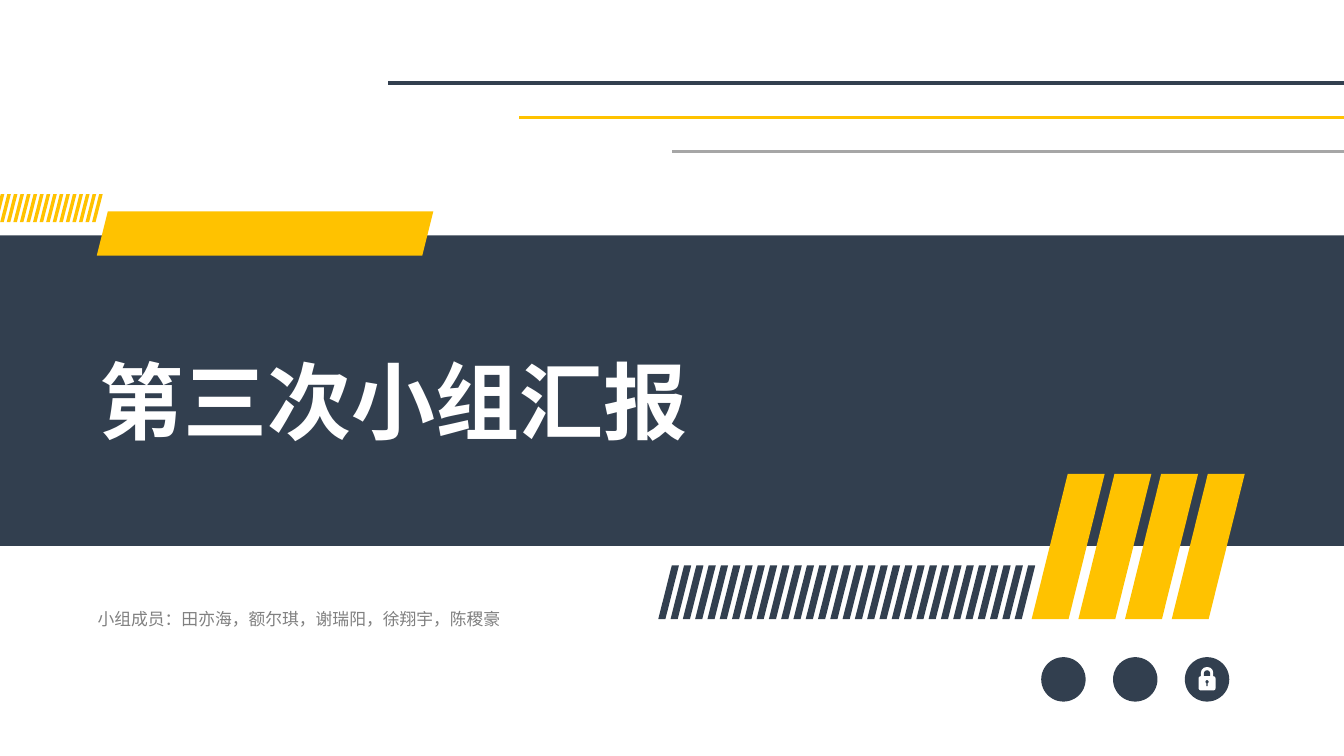
import lxml.etree
import pptx
import pptx.dml.color
import pptx.enum.shapes
import pptx.enum.text
import pptx.oxml.ns
import pptx.util

Cm = pptx.util.Cm
PRESET = pptx.enum.shapes.MSO_SHAPE
ALIGN = pptx.enum.text.PP_ALIGN

SLIDE_WIDTH, SLIDE_HEIGHT = 33.87, 19.05
NAVY, YELLOW, GRAY, WHITE = "323F4F", "FFC200", "A6A6A6", "FFFFFF"
TEXT_GRAY = "808080"
FONT = "Noto Sans CJK SC"


def color(value):
    return pptx.dml.color.RGBColor.from_string(value)


def paint(shape, fill):
    shape.shadow.inherit = False
    shape.fill.solid()
    shape.fill.fore_color.rgb = color(fill)
    shape.line.fill.background()


def add_preset(slide, preset, left, top, width, height, fill):
    shape = slide.shapes.add_shape(preset, Cm(left), Cm(top), Cm(width), Cm(height))
    paint(shape, fill)
    return shape


def add_stripes(slide, left, top, width, height, count, bar, slant, fill):
    """Spread slanted bars evenly over the box."""
    pitch = (width - slant - bar) / (count - 1)
    for index in range(count):
        x = left + index * pitch
        corners = [(x + slant + bar, top), (x + bar, top + height), (x, top + height)]
        builder = slide.shapes.build_freeform(Cm(x + slant), Cm(top))
        builder.add_line_segments([(Cm(a), Cm(b)) for a, b in corners], close=True)
        paint(builder.convert_to_shape(), fill)


def add_header_lines(slide, top, pitch):
    """Draw lines that run to the right edge of the slide."""
    for index, (left, line_color) in enumerate([(9.78, NAVY), (13.08, YELLOW), (16.94, GRAY)]):
        y = Cm(top + index * pitch)
        line = slide.shapes.add_connector(
            pptx.enum.shapes.MSO_CONNECTOR.STRAIGHT, Cm(left), y, Cm(SLIDE_WIDTH), y)
        line.line.color.rgb = color(line_color)
        line.line.width = pptx.util.Pt(2.25)
        properties = line.element.find(pptx.oxml.ns.qn("p:spPr"))
        lxml.etree.SubElement(properties, pptx.oxml.ns.qn("a:effectLst"))


def write_text(shape, text, size, text_color, bold, alignment):
    frame = shape.text_frame
    frame.word_wrap = True
    frame.auto_size = pptx.enum.text.MSO_AUTO_SIZE.SHAPE_TO_FIT_TEXT
    frame.vertical_anchor = pptx.enum.text.MSO_ANCHOR.TOP
    paragraph = frame.paragraphs[0]
    paragraph.alignment = alignment
    paragraph.line_spacing = 1.2
    run = paragraph.add_run()
    run.text = text
    run.font.size = pptx.util.Pt(size)
    run.font.bold = bold
    run.font.color.rgb = color(text_color)
    run.font.name = FONT
    east_asian = lxml.etree.SubElement(run.font._element, pptx.oxml.ns.qn("a:ea"))
    east_asian.set("typeface", FONT)


def add_title(slide, left, top, width, height):
    title = slide.shapes.title
    title.left, title.top, title.width, title.height = map(Cm, (left, top, width, height))
    write_text(title, "第三次小组汇报", 60, WHITE, True, ALIGN.JUSTIFY)
    # Bring the title in front of the band
    slide.shapes.element.append(title.element)


def add_members(slide, left, top, width, height):
    box = slide.shapes.add_textbox(Cm(left), Cm(top), Cm(width), Cm(height))
    write_text(box, "小组成员：田亦海，额尔琪，谢瑞阳，徐翔宇，陈稷豪", 12, TEXT_GRAY, False, ALIGN.LEFT)


def add_padlock(slide, left, top, size):
    """Draw a padlock centred in a square box."""
    center = left + size / 2
    parts = [
        (PRESET.ROUND_2_SAME_RECTANGLE, 0.31, 0.25, 0.28, WHITE),  # shackle
        (PRESET.ROUND_2_SAME_RECTANGLE, 0.16, 0.33, 0.2, NAVY),  # shackle opening
        (PRESET.ROUNDED_RECTANGLE, 0.43, 0.48, 0.36, WHITE),  # body
        (PRESET.OVAL, 0.08, 0.58, 0.08, NAVY),  # keyhole
        (PRESET.RECTANGLE, 0.03, 0.62, 0.11, NAVY),  # keyhole slot
    ]
    for preset, width, offset, height, fill in parts:
        part = add_preset(slide, preset, center - width / 2, top + offset, width, height, fill)
        if preset == PRESET.ROUND_2_SAME_RECTANGLE:
            part.adjustments[0] = 0.5


def add_icons(slide, left, top, size, pitch):
    for index in range(3):
        add_preset(slide, PRESET.OVAL, left + index * pitch, top, size, size, NAVY)
    add_padlock(slide, left + 2 * pitch, top, size)


def build_cover(presentation):
    slide = presentation.slides.add_slide(presentation.slide_layouts[5])
    # Band and header
    add_preset(slide, PRESET.RECTANGLE, 0, 5.93, SLIDE_WIDTH, 7.83, NAVY)
    add_header_lines(slide, 2.09, 0.86)
    add_preset(slide, PRESET.PARALLELOGRAM, 2.44, 5.33, 8.48, 1.11, YELLOW)
    # Stripe groups
    add_stripes(slide, 26, 11.94, 5.37, 3.66, count=4, bar=0.93, slant=0.91, fill=YELLOW)
    add_stripes(slide, 16.59, 14.25, 9.5, 1.35, count=30, bar=0.18, slant=0.34, fill=NAVY)
    add_stripes(slide, -0.16, 4.89, 2.75, 0.71, count=16, bar=0.09, slant=0.18, fill=YELLOW)
    # Text and icons
    add_title(slide, 2.26, 8.18, 26.14, 3.07)
    add_icons(slide, 26.24, 16.56, 1.12, 1.81)
    add_members(slide, 2.21, 15.11, 13.16, 0.86)


def main():
    presentation = pptx.Presentation()
    presentation.slide_width = Cm(SLIDE_WIDTH)
    presentation.slide_height = Cm(SLIDE_HEIGHT)
    build_cover(presentation)
    presentation.save("out.pptx")


if __name__ == "__main__":
    main()
